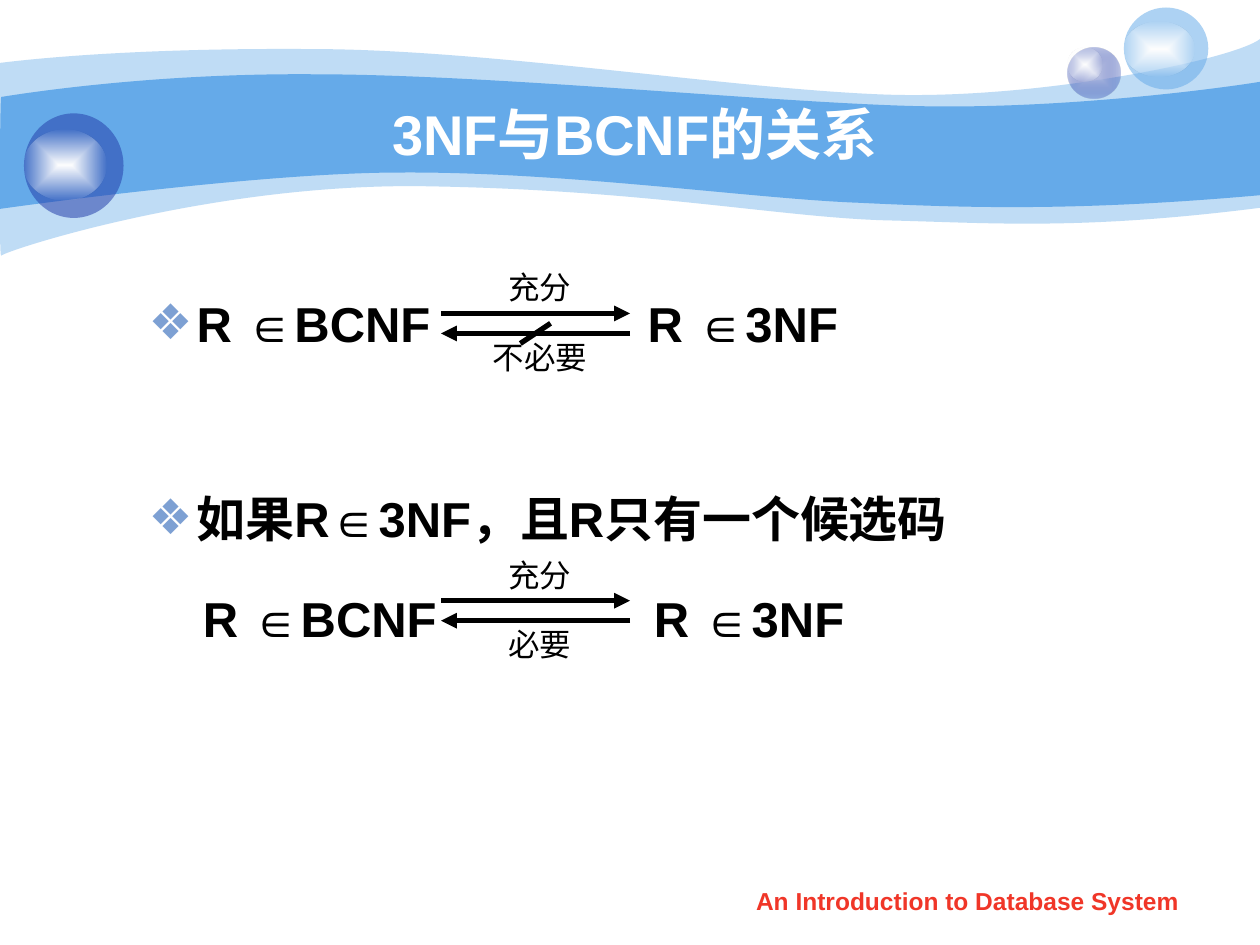
from dataclasses import dataclass
from itertools import chain

from lxml import etree
from pptx import Presentation
from pptx.dml.color import RGBColor
from pptx.enum.shapes import MSO_CONNECTOR, MSO_SHAPE
from pptx.enum.text import MSO_ANCHOR, MSO_AUTO_SIZE, PP_ALIGN
from pptx.oxml import parse_xml
from pptx.oxml.ns import nsdecls, qn
from pptx.util import Emu, Inches, Pt

ELLIPSE = MSO_SHAPE.OVAL
STRAIGHT = MSO_CONNECTOR.STRAIGHT
CENTER, LEFT = PP_ALIGN.CENTER, PP_ALIGN.LEFT
MIDDLE, TOP = MSO_ANCHOR.MIDDLE, MSO_ANCHOR.TOP
NO_FIT = MSO_AUTO_SIZE.NONE
SLIDE_WIDTH, SLIDE_HEIGHT = Inches(10), Inches(7.5)
COLUMN, ROW = SLIDE_WIDTH / 10, SLIDE_HEIGHT / 7.5
HANG = 0.38
TERM_GAP = 3.58


@dataclass(frozen=True)
class Theme:
    """Colours, font and type sizes of the slide."""

    font: str = "Arial"
    sky: str = "65AAE9"
    navy: str = "233DA9"
    lilac: str = "C6CCE8"
    white: str = "FFFFFF"
    glow_edge: str = "FEFEFE"
    ink: str = "000000"
    bullet: str = "7DA0D3"
    footer: str = "F03628"
    title_size: int = 32
    body_size: int = 28
    label_size: int = 18
    footer_size: int = 14


THEME = Theme()
LIGHT_WAVE = [(0, 0.5), [
    [(0.24, 0.47), (1.07, 0.38), (2.47, 0.39)],
    [(3.86, 0.39), (5.75, 0.7), (6.99, 0.75)],
    [(8.22, 0.8), (9.8, 0.47), (10, 0.31)],
    [(10, 1.65)],
    [(8.58, 1.83), (7.87, 1.77), (7.05, 1.75)],
    [(6.22, 1.73), (5.15, 1.51), (3.43, 1.48)],
    [(1.72, 1.44), (0.04, 1.99), (0.01, 2.03)],
    [(-0.01, 2.08), (0, 0.75), (0, 0.5)],
]]
DEEP_WAVE = [(0.01, 0.77), [
    [(0.02, 0.77), (1.1, 0.58), (2.48, 0.59)],
    [(3.86, 0.59), (5.95, 0.8), (7.18, 0.84)],
    [(8.41, 0.88), (9.76, 0.69), (10, 0.65)],
    [(10, 1.55)],
    [(8.53, 1.68), (7.65, 1.65), (6.82, 1.61)],
    [(5.99, 1.58), (4.47, 1.36), (3.17, 1.37)],
    [(2.03, 1.37), (-0.02, 1.66), (-0.01, 1.66)],
    [(0, 1.66), (0, 0.77), (0.01, 0.77)],
]]


def place(left, top, width, height):
    """Turn grid columns and rows into a box of slide lengths."""
    return [Emu(round(n * unit)) for n, unit in zip((left, top, width, height), (COLUMN, ROW) * 2)]


def set_format(target, values):
    """Set each named attribute on the target."""
    for name, value in values.items():
        setattr(target, name, value)


def style_font(paragraph, size, color, bold=False):
    """Give every run of a paragraph the theme font."""
    for run in paragraph.runs:
        set_format(run.font, {"name": THEME.font, "size": Pt(size), "bold": bold})
        run.font.color.rgb = RGBColor.from_string(color)


def paint(shape, color, opacity=100):
    """Fill a shape with one colour, without outline or shadow."""
    shape.shadow.inherit = False
    shape.line.fill.background()
    shape.fill.solid()
    shape.fill.fore_color.rgb = RGBColor.from_string(color)
    if opacity < 100:
        tint = shape._element.spPr.find(qn("a:solidFill"))[0]
        etree.SubElement(tint, qn("a:alpha"), val=str(opacity * 1000))


def paint_glow(shape, inner, outer, opacity):
    """Fill a shape with a gradient that spreads from its centre."""
    paint(shape, inner)
    solid = shape._element.spPr.find(qn("a:solidFill"))
    glow = parse_xml(
        f'<a:gradFill {nsdecls("a")} rotWithShape="1"><a:gsLst>'
        f'<a:gs pos="0"><a:srgbClr val="{inner}"/></a:gs>'
        f'<a:gs pos="100000"><a:srgbClr val="{outer}"><a:alpha val="{opacity * 1000}"/></a:srgbClr></a:gs>'
        '</a:gsLst><a:path path="rect"><a:fillToRect l="50000" t="50000" r="50000" b="50000"/></a:path></a:gradFill>'
    )
    solid.getparent().replace(solid, glow)


def bend(shape, segments):
    """Join the three lines of each curved segment into one cubic curve."""
    lines = iter(list(shape._element.iter(qn("a:lnTo"))))
    for segment in segments:
        members = [next(lines) for _ in segment]
        if len(members) == 3:
            curve = etree.Element(qn("a:cubicBezTo"))
            members[0].addprevious(curve)
            for line in members:
                curve.append(line[0])
                line.getparent().remove(line)


def add_wave(slide, outline, opacity):
    """Draw one band of the banner."""
    start, segments = outline
    first, *rest = [(round(x * COLUMN), round(y * ROW)) for x, y in chain([start], *segments)]
    builder = slide.shapes.build_freeform(*first, scale=1.0)
    builder.add_line_segments(rest, close=True)
    wave = builder.convert_to_shape()
    bend(wave, segments)
    paint(wave, THEME.sky, opacity)


def add_sphere(slide, box, color, opacity, highlight, rim=None):
    """Draw a ball in its box, with a highlight given as shares of the box."""
    left, top, width, height = box
    down, across, tall = highlight
    shapes = slide.shapes.add_group_shape().shapes
    ball = shapes.add_shape(ELLIPSE, *place(*box))
    if rim:
        paint_glow(ball, color, rim, opacity)
    else:
        paint(ball, color, opacity)
    shine = shapes.add_shape(ELLIPSE, *place(left, top + down * height, across * width, tall * height))
    paint_glow(shine, THEME.white, THEME.glow_edge, 0)


def add_banner(slide):
    """Draw the waves and spheres across the top."""
    add_wave(slide, LIGHT_WAVE, 41)
    add_wave(slide, DEEP_WAVE, 100)
    add_sphere(slide, (8.47, 0.38, 0.42, 0.4), THEME.lilac, 31, (0, 0.67, 0.67), THEME.navy)
    add_sphere(slide, (8.92, 0.06, 0.67, 0.65), THEME.sky, 53, (0.17, 0.83, 0.67))
    add_sphere(slide, (0.19, 0.9, 0.79, 0.83), THEME.navy, 53, (0.16, 0.83, 0.67))


def fill_placeholder(slide, placeholder, box, anchor):
    """Place a placeholder above the banner and return its text frame."""
    slide.shapes._spTree.append(placeholder._element)
    set_format(placeholder, dict(zip(("left", "top", "width", "height"), place(*box))))
    frame = placeholder.text_frame
    set_format(frame, {"auto_size": NO_FIT, "word_wrap": True, "vertical_anchor": anchor})
    return frame


def add_title(slide, box, text):
    """Write the slide title."""
    paragraph = fill_placeholder(slide, slide.shapes.title, box, MIDDLE).paragraphs[0]
    set_format(paragraph, {"text": text, "alignment": CENTER})
    style_font(paragraph, THEME.title_size, THEME.white, True)


def add_body(slide, box, items):
    """Write the list from (text, bulleted, line spacing, space before) items."""
    frame = fill_placeholder(slide, slide.placeholders[1], box, TOP)
    for index, (text, bulleted, spacing, before) in enumerate(items):
        paragraph = frame.add_paragraph() if index else frame.paragraphs[0]
        set_format(paragraph, {"text": text, "alignment": LEFT, "line_spacing": spacing, "space_before": Pt(before)})
        properties = paragraph._p.get_or_add_pPr()
        margin, hang = (HANG, HANG) if bulleted else (HANG + 0.05 + TERM_GAP, TERM_GAP)
        properties.set("marL", str(Inches(margin)))
        properties.set("indent", str(Inches(-hang)))
        if bulleted:
            color = etree.SubElement(properties, qn("a:buClr"))
            etree.SubElement(color, qn("a:srgbClr"), val=THEME.bullet)
            etree.SubElement(properties, qn("a:buChar"), char="❖")
            tabs = etree.SubElement(properties, qn("a:tabLst"))
            etree.SubElement(tabs, qn("a:tab"), pos=str(Inches(HANG + TERM_GAP)), algn="l")
        else:
            etree.SubElement(properties, qn("a:buNone"))
        style_font(paragraph, THEME.body_size, THEME.ink, True)


def add_stroke(shapes, start, end, arrow=True):
    """Draw a thick line between two grid points."""
    stroke = shapes.add_connector(STRAIGHT, *place(*start, *end))
    stroke.line.width = Pt(3)
    stroke.line.color.rgb = RGBColor.from_string(THEME.ink)
    if arrow:
        etree.SubElement(stroke.line._get_or_add_ln(), qn("a:tailEnd"), type="triangle")
    etree.SubElement(stroke._element.spPr, qn("a:effectLst"))


def add_text(shapes, box, text, size, color, frame_format, spacing=1.0, bold=False):
    """Add a centred line of text."""
    frame = shapes.add_textbox(*place(*box)).text_frame
    set_format(frame, frame_format)
    paragraph = frame.paragraphs[0]
    set_format(paragraph, {"text": text, "alignment": CENTER, "line_spacing": spacing})
    style_font(paragraph, size, color, bold)


def add_implication(slide, box, above, below, struck=False):
    """Draw a pair of opposed arrows with a label on each side."""
    left, top, width, height = box
    forward, backward = top + 0.39 * height, top + 0.59 * height
    shapes = slide.shapes.add_group_shape().shapes
    add_stroke(shapes, (left, forward), (left + 1.5, forward))
    add_stroke(shapes, (left + 1.5, backward), (left, backward))
    if struck:
        add_stroke(shapes, (left + 0.87, backward - 0.08), (left + 0.63, backward + 0.08), arrow=False)
    for label, label_top in ((above, top), (below, top + height - 0.24)):
        add_text(shapes, (left, label_top, width, 0.24), label, THEME.label_size, THEME.ink,
                 {"word_wrap": False, "vertical_anchor": MIDDLE}, spacing=0.9)


def main():
    """Build and save the slide."""
    presentation = Presentation()
    set_format(presentation, {"slide_width": SLIDE_WIDTH, "slide_height": SLIDE_HEIGHT})
    slide = presentation.slides.add_slide(presentation.slide_layouts[1])
    add_banner(slide)
    add_title(slide, (1, 0.75, 8.08, 0.62), "3NF与BCNF的关系")
    relation = "R ∈BCNF\tR ∈3NF"
    add_body(slide, (1.08, 2.09, 8.5, 4.5), [
        (relation, True, 1.4, 0),
        ("如果R∈3NF，且R只有一个候选码", True, 1.5, 61),
        (relation, False, 1.5, 7),
    ])
    add_implication(slide, (3.5, 2.18, 1.57, 0.79), "充分", "不必要", struck=True)
    add_implication(slide, (3.5, 4.46, 1.57, 0.79), "充分", "必要")
    add_text(slide.shapes, (5.71, 6.98, 3.94, 0.35), "An Introduction to Database System",
             THEME.footer_size, THEME.footer, {"word_wrap": True, "vertical_anchor": TOP}, bold=True)
    presentation.save("out.pptx")


if __name__ == "__main__":
    main()
